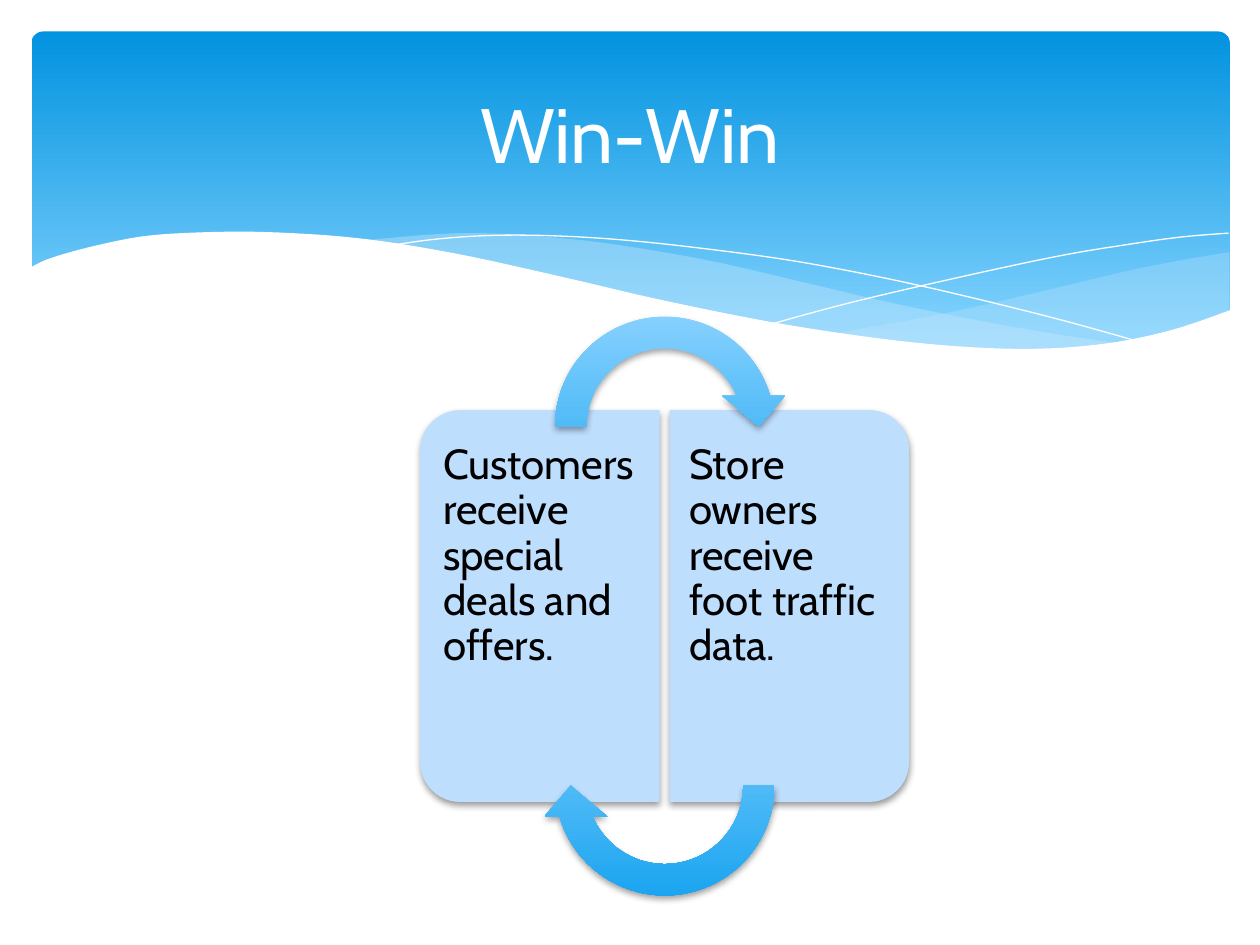
import pptx
import pptx.dml.color
import pptx.enum.shapes
import pptx.enum.text
import pptx.oxml
import pptx.oxml.ns
import pptx.util
from dataclasses import dataclass

Pt = pptx.util.Pt
Kind = pptx.enum.shapes.MSO_SHAPE
Align = pptx.enum.text.PP_ALIGN
Anchor = pptx.enum.text.MSO_ANCHOR


@dataclass(frozen=True)
class Theme:
    font: str = "Cabin"
    white: str = "FFFFFF"
    ink: str = "000000"
    ripple: str = "C6E7FC"
    card: str = "BEDEFE"
    sky: tuple = ((0, "0293E0"), (0.9, "83D3FE"))
    arrow: tuple = ((0, "8CD3FF"), (1, "14A2EF"))
    head: int = 44
    body: int = 24


def rgb(code):
    return pptx.dml.color.RGBColor.from_string(code)


def apply(item, values):
    for name, value in values.items():
        setattr(item, name, value)


def smooth(knots, steps=6):
    """Points of a Catmull-Rom curve through the knots."""
    ends = [knots[0], *knots, knots[-1]]
    curve = [knots[0]]
    for a, b, c, d in zip(ends, ends[1:], ends[2:], ends[3:]):
        for step in range(1, steps + 1):
            t = step / steps
            curve.append(tuple(
                q + t / 2 * (r - p + t * (2 * p - 5 * q + 4 * r - s
                                          + t * (3 * (q - r) + s - p)))
                for p, q, r, s in zip(a, b, c, d)))
    return curve


class Deck:
    def __init__(self, theme):
        self.theme = theme
        self.file = pptx.Presentation()
        apply(self.file, {"slide_width": Pt(720), "slide_height": Pt(540)})
        self.slide = self.file.slides.add_slide(self.file.slide_layouts[6])

    def paint(self, shape, fill, alpha=None):
        """Fill with one colour, or with two stops running down the page."""
        shape.shadow.inherit = False
        shape.line.fill.background()
        if isinstance(fill, str):
            shape.fill.solid()
            shape.fill.fore_color.rgb = rgb(fill)
            if alpha:
                color = shape._element.spPr.find(".//" + pptx.oxml.ns.qn("a:srgbClr"))
                self.child(color, f'<a:alpha {{}} val="{alpha * 1000}"/>')
            return
        shape.fill.gradient()
        shape.fill.gradient_angle = 270
        for stop, (place, code) in zip(shape.fill.gradient_stops, fill):
            stop.color.rgb = rgb(code)
            stop.position = place
        shape._element.spPr.find(pptx.oxml.ns.qn("a:gradFill")).set("rotWithShape", "0")

    def child(self, parent, xml):
        parent.append(pptx.oxml.parse_xml(xml.format(pptx.oxml.ns.nsdecls("a"))))

    def shape(self, kind, box, fill, adjust, turn=0, shade=True):
        shape = self.slide.shapes.add_shape(kind, *map(Pt, box))
        shape.rotation = turn
        for index, value in enumerate(adjust):
            shape.adjustments[index] = value
        self.paint(shape, fill)
        if shade:
            effects = shape._element.spPr.find(pptx.oxml.ns.qn("a:effectLst"))
            self.child(effects, f'<a:outerShdw {{}} blurRad="{Pt(4)}" dist="{Pt(2)}" '
                       'dir="5400000" rotWithShape="0"><a:srgbClr val="000000">'
                       '<a:alpha val="38000"/></a:srgbClr></a:outerShdw>')

    def trace(self, points, close):
        first, *rest = [tuple(map(Pt, point)) for point in points]
        path = self.slide.shapes.build_freeform(*first)
        path.add_line_segments(rest, close=close)
        return path.convert_to_shape()

    def area(self, points, fill, alpha=None):
        self.paint(self.trace(points, True), fill, alpha)

    def thread(self, knots):
        """Draw an open hairline curve."""
        shape = self.trace(smooth(knots), False)
        shape.shadow.inherit = False
        shape.fill.background()
        shape.line.color.rgb = rgb(self.theme.white)
        shape.line.width = Pt(0)

    def text(self, words, box, size, color, frame, para):
        area = self.slide.shapes.add_textbox(*map(Pt, box)).text_frame
        apply(area, {"word_wrap": True, **frame})
        line = area.paragraphs[0]
        apply(line, para)
        run = line.add_run()
        run.text = words
        apply(run.font, {"name": self.theme.font, "size": Pt(size)})
        run.font.color.rgb = rgb(color)


RIGHT_TOP = [(702.6, 144), (673.2, 149), (641.5, 155.5), (599, 165.6),
             (542.2, 178.6), (475.9, 190.8)]
RIGHT_LOW = [(475.9, 190.8), (507.6, 195.1), (545, 198.7), (578.2, 200.2),
             (614.9, 198.7), (645.8, 194.4), (673.2, 188.6), (702.6, 177.8)]
LEFT_TOP = [(643, 196.6), (602.6, 190.8), (558, 182.9), (508.3, 172.8),
            (452.9, 159.8), (409.7, 149.8), (370.1, 142.6), (334.8, 137.5),
            (302.4, 134.6), (273.6, 133.2), (247.7, 133.9), (205.9, 137.5)]
LEFT_LOW = [(205.9, 137.5), (246.2, 143.3), (290.9, 151.9), (323.3, 159.8),
            (381.6, 172.8), (432.7, 183.6), (478.8, 191.5), (519.8, 197.3),
            (556.6, 199.4), (589, 200.2), (617, 199.4), (643, 196.6)]
FALL = [(222.5, 140.4), (247.7, 136.8), (278.6, 134.6), (311.8, 134.6),
        (352.1, 136.8), (400.3, 141.8), (457.9, 149.8), (523.4, 162.7),
        (598.3, 180.7), (653, 195.8)]
RISE = [(441.4, 185), (483.8, 173.5), (538.6, 160.6), (601.9, 146.9),
        (644.4, 139.7), (675.4, 135.4), (702, 133.2)]
WAVE = [(703.4, 177.1), (669.6, 188.6), (630, 196.6), (582.5, 199.4),
        (522.7, 195.8), (450.7, 185.8), (380.9, 172.1), (321.8, 158.4),
        (262.8, 145.4), (210.2, 136.8), (165.6, 133.2), (127.4, 132.5),
        (85.7, 134.6), (54.7, 140.4), (28.8, 147.6), (16.6, 153.4)]


def main():
    theme = Theme()
    deck = Deck(theme)

    deck.shape(Kind.ROUNDED_RECTANGLE, (18, 18, 684.7, 194.4), theme.sky,
               [0.034], shade=False)
    deck.area(smooth(RIGHT_TOP) + smooth(RIGHT_LOW), theme.ripple, 29)
    deck.area(smooth(LEFT_TOP) + smooth(LEFT_LOW), theme.ripple, 40)
    for knots in (FALL, RISE):
        deck.thread(knots)
    deck.area(smooth(WAVE) + [(16.6, 236.9), (703.4, 236.9)], theme.white)

    deck.text("Win-Win", (36, 26.6, 648, 98.6), theme.head, theme.white,
              {"vertical_anchor": Anchor.MIDDLE}, {"alignment": Align.CENTER})

    cards = [
        ("Customers receive special deals and offers.", 196.6, 270, 246.2, 7.2, 10.8),
        ("Store owners receive foot traffic data.", 339.1, 90, 383, 10.8, 7.2),
    ]
    for words, left, turn, start, near, far in cards:
        deck.shape(Kind.ROUND_2_SAME_RECTANGLE, (left, 277.9, 223.9, 136.8),
                   theme.card, [0.167, 0], turn)
        frame = {"margin_left": Pt(near), "margin_right": Pt(far),
                 "margin_top": Pt(12), "margin_bottom": Pt(12)}
        deck.text(words, (start, 241.2, 130.3, 210.2), theme.body, theme.ink,
                  frame, {"line_spacing": 0.9})

    for top, turn in ((172.1, 0), (377.3, 180)):
        deck.shape(Kind.CIRCULAR_ARROW, (308.2, top, 143.3, 143.3), theme.arrow,
                   [0.125, 11.423, 204.577, 108, 0.125], turn)

    deck.file.save("out.pptx")


if __name__ == "__main__":
    main()
